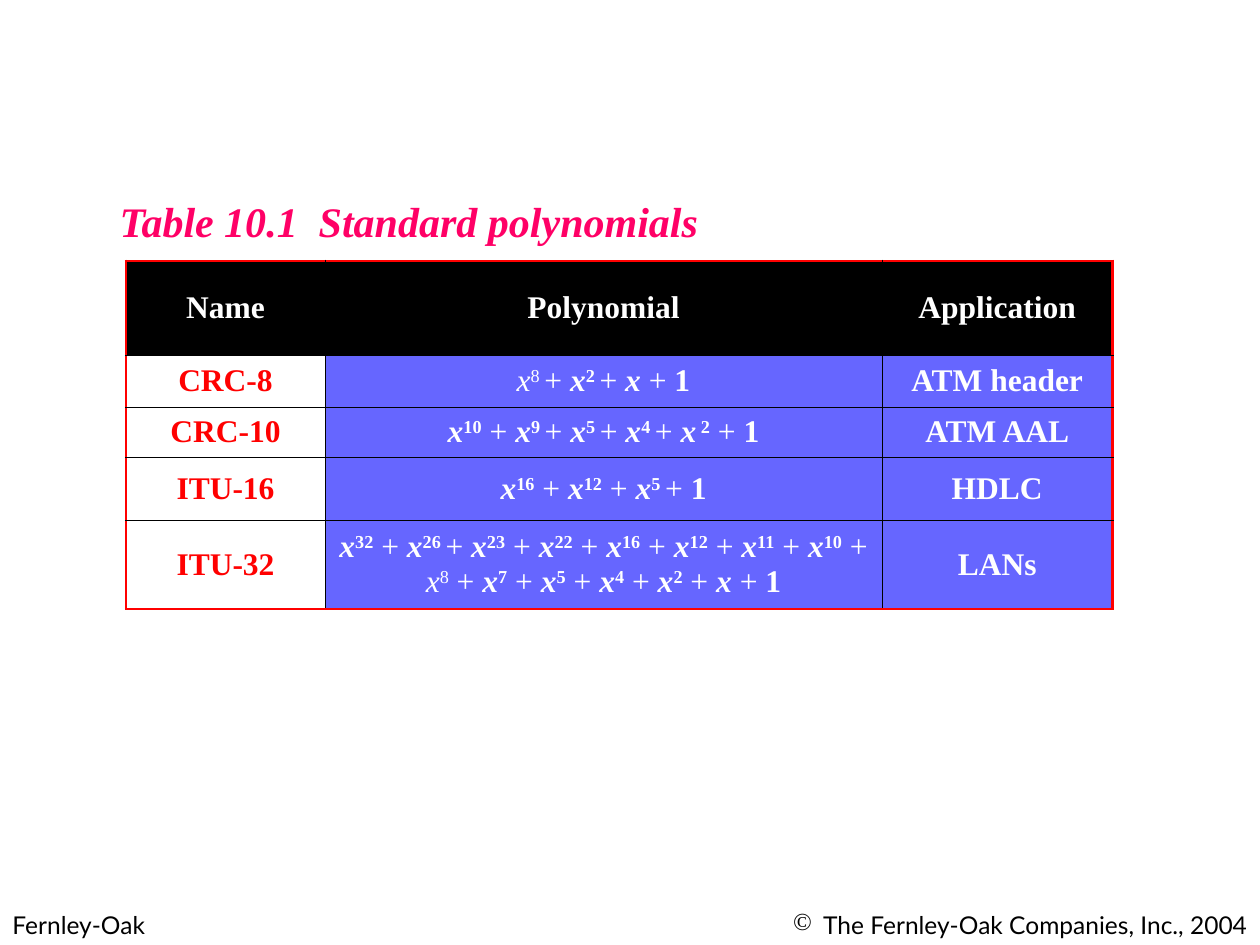
"""Builds the slide with the table of standard polynomials."""
import itertools

import pptx
import pptx.dml.color
import pptx.enum.text
import pptx.oxml
import pptx.oxml.ns
import pptx.util
from pptx.util import Inches

COLORS = {"black": "000000", "white": "FFFFFF", "red": "FF0000", "pink": "FF0066", "violet": "6666FF"}
ALIGN = pptx.enum.text.PP_ALIGN
ANCHOR = pptx.enum.text.MSO_ANCHOR
FIT = pptx.enum.text.MSO_AUTO_SIZE
OUTER_BORDER = ("red", 1.47)
INNER_BORDER = ("black", 0.45)

HEADINGS = ("Name", "Polynomial", "Application")
STANDARDS = [
    ("CRC-8", "~x^8 ^+ x^2 ^+ x + 1", "ATM header"),
    ("CRC-10", "x^10^ + x^9 ^+ x^5 ^+ x^4 ^+ x^ 2^ + 1", "ATM AAL"),
    ("ITU-16", "x^16^ + x^12^ + x^5 ^+ 1", "HDLC"),
    ("ITU-32", "x^32^ + x^26 ^+ x^23^ + x^22^ + x^16^ + x^12^ + x^11^ + x^10^ + "
               "~x^8^ + x^7^ + x^5^ + x^4^ + x^2^ + x + 1", "LANs"),
]
COLUMN_WIDTHS = (1.58, 4.42, 1.83)
ROW_HEIGHTS = (0.75, 0.41, 0.4, 0.5, 0.7)


def rgb(name):
    """Return the named colour."""
    return pptx.dml.color.RGBColor.from_string(COLORS[name])


class SlideBuilder:
    """Holds the style and the current slide."""

    serif = "Times New Roman"
    sans = "Lato"

    def __init__(self, presentation):
        self.slide = presentation.slides.add_slide(presentation.slide_layouts[5])

    def style(self, paragraph, font, size, color, bold=False, italic=False):
        """Set the font of a paragraph."""
        paragraph.font.name = font
        paragraph.font.size = pptx.util.Pt(size)
        paragraph.font.color.rgb = rgb(color)
        paragraph.font.bold = bold
        paragraph.font.italic = italic

    def title(self, text, left, top, width, height):
        """Place and fill the title."""
        shape = self.slide.shapes.title
        shape.left, shape.top = Inches(left), Inches(top)
        shape.width, shape.height = Inches(width), Inches(height)
        frame = shape.text_frame
        frame.text = text
        frame.word_wrap = False
        frame.auto_size = FIT.SHAPE_TO_FIT_TEXT
        frame.vertical_anchor = ANCHOR.TOP
        frame.paragraphs[0].alignment = ALIGN.LEFT
        self.style(frame.paragraphs[0], self.serif, 24, "pink", True, True)

    def footer(self, text, left, width, alignment, bullet=None):
        """Add a line of text at the foot of the slide."""
        frame = self.slide.shapes.add_textbox(
            Inches(left), Inches(7.17), Inches(width), Inches(0.34)).text_frame
        frame.word_wrap = True
        frame.auto_size = FIT.SHAPE_TO_FIT_TEXT
        paragraph = frame.paragraphs[0]
        paragraph.text = text
        paragraph.alignment = alignment
        paragraph.space_before = pptx.util.Pt(8.8)
        self.style(paragraph, self.sans, 14, "black")
        if bullet:
            properties = paragraph._p.get_or_add_pPr()
            properties.set("marL", str(Inches(0.24)))
            properties.set("indent", str(-Inches(0.24)))
            mark = pptx.oxml.parse_xml(
                f'<a:buChar {pptx.oxml.ns.nsdecls("a")} char="{bullet}"/>')
            properties.find(pptx.oxml.ns.qn("a:defRPr")).addprevious(mark)

    def border(self, cell, side, color, width):
        """Draw one side of a cell."""
        cell._tc.get_or_add_tcPr().append(pptx.oxml.parse_xml(
            f'<a:ln{side} {pptx.oxml.ns.nsdecls("a")} w="{pptx.util.Pt(width)}">'
            f'<a:solidFill><a:srgbClr val="{COLORS[color]}"/></a:solidFill></a:ln{side}>'))

    def polynomial(self, paragraph, formula):
        """Write a formula: carets enclose exponents, a tilde makes a term light."""
        light = False
        for index, segment in enumerate(formula.split("^")):
            if index % 2:
                run = paragraph.add_run()
                run.text = segment
                run.font.bold = not light
                run._r.get_or_add_rPr().set("baseline", "30000")
                continue
            light = "~" in segment
            groups = itertools.groupby(
                segment.replace("~", ""), key=lambda sign: sign if sign in "x1" else "+")
            for kind, signs in groups:
                run = paragraph.add_run()
                run.text = "".join(signs)
                run.font.bold = kind == "1" or (kind == "x" and not light)
                run.font.italic = kind == "x"

    def cell(self, table, row, column, text):
        """Fill and format one table cell."""
        cell = table.cell(row, column)
        last_row, last_column = len(ROW_HEIGHTS) - 1, len(COLUMN_WIDTHS) - 1
        edges = {"L": column == 0, "R": column == last_column, "T": row == 0, "B": row == last_row}
        for side, outer in edges.items():
            self.border(cell, side, *(OUTER_BORDER if outer else INNER_BORDER))
        cell.fill.solid()
        fill = "black" if row == 0 else "white" if column == 0 else "violet"
        cell.fill.fore_color.rgb = rgb(fill)
        cell.vertical_anchor = ANCHOR.MIDDLE
        paragraph = cell.text_frame.paragraphs[0]
        paragraph.alignment = ALIGN.CENTER
        paragraph.space_before = pptx.util.Pt(4.5)
        if row:
            paragraph.space_after = pptx.util.Pt(3)
        self.style(paragraph, self.serif, 18, "red" if fill == "white" else "white", True)
        if row and column == 1:
            self.polynomial(paragraph, text)
        else:
            paragraph.add_run().text = text

    def table(self, rows, left, top):
        """Add the table of standards."""
        table = self.slide.shapes.add_table(
            len(rows), len(COLUMN_WIDTHS), Inches(left), Inches(top),
            Inches(sum(COLUMN_WIDTHS)), Inches(sum(ROW_HEIGHTS))).table
        table.first_row = table.horz_banding = False
        for column, width in zip(table.columns, COLUMN_WIDTHS):
            column.width = Inches(width)
        for row, height in zip(table.rows, ROW_HEIGHTS):
            row.height = Inches(height)
        for row, texts in enumerate(rows):
            for column, text in enumerate(texts):
                self.cell(table, row, column, text)


presentation = pptx.Presentation()
presentation.slide_width, presentation.slide_height = Inches(10), Inches(7.5)
builder = SlideBuilder(presentation)
builder.footer("Fernley-Oak", 0, 2.42, ALIGN.LEFT)
builder.footer("The Fernley-Oak Companies, Inc., 2004", 5, 5, ALIGN.RIGHT, "©")
builder.title("Table 10.1  Standard polynomials", 0.85, 1.5, 4.82, 0.5)
builder.table([HEADINGS, *STANDARDS], 1, 2.07)
presentation.save("out.pptx")
